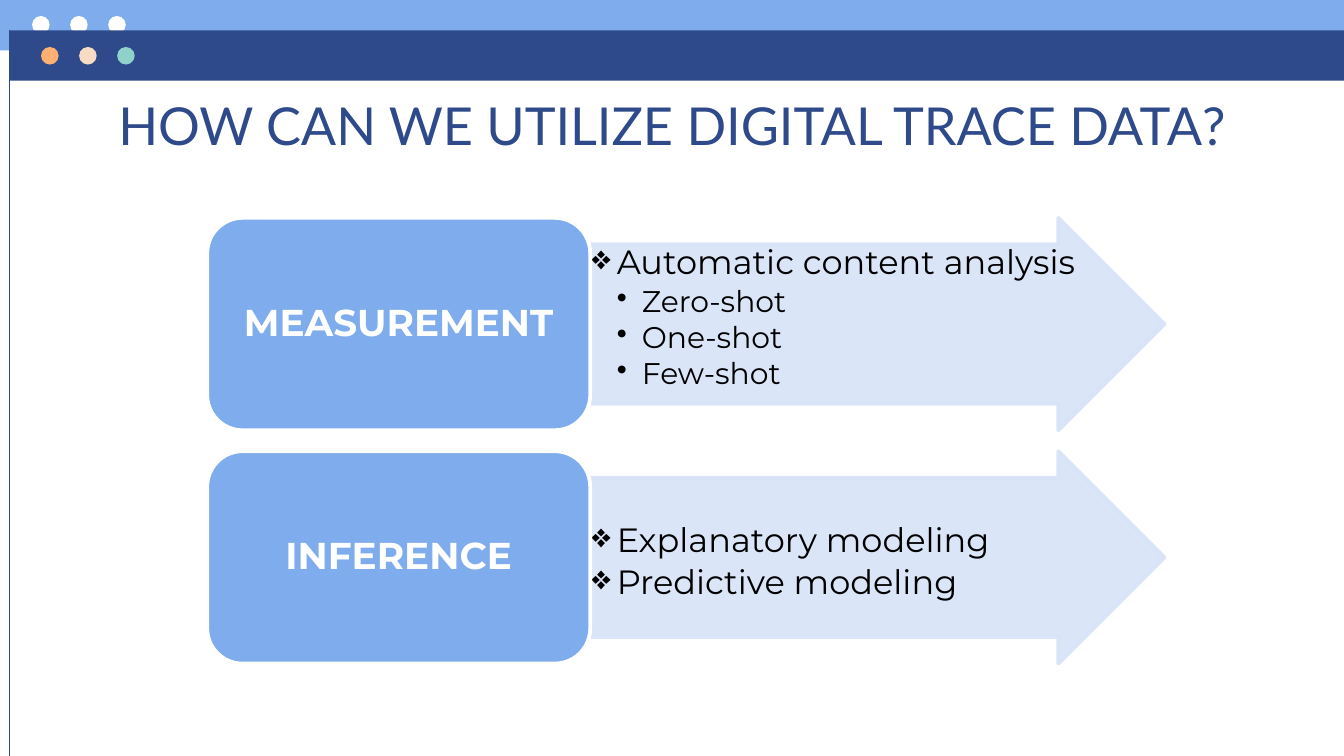
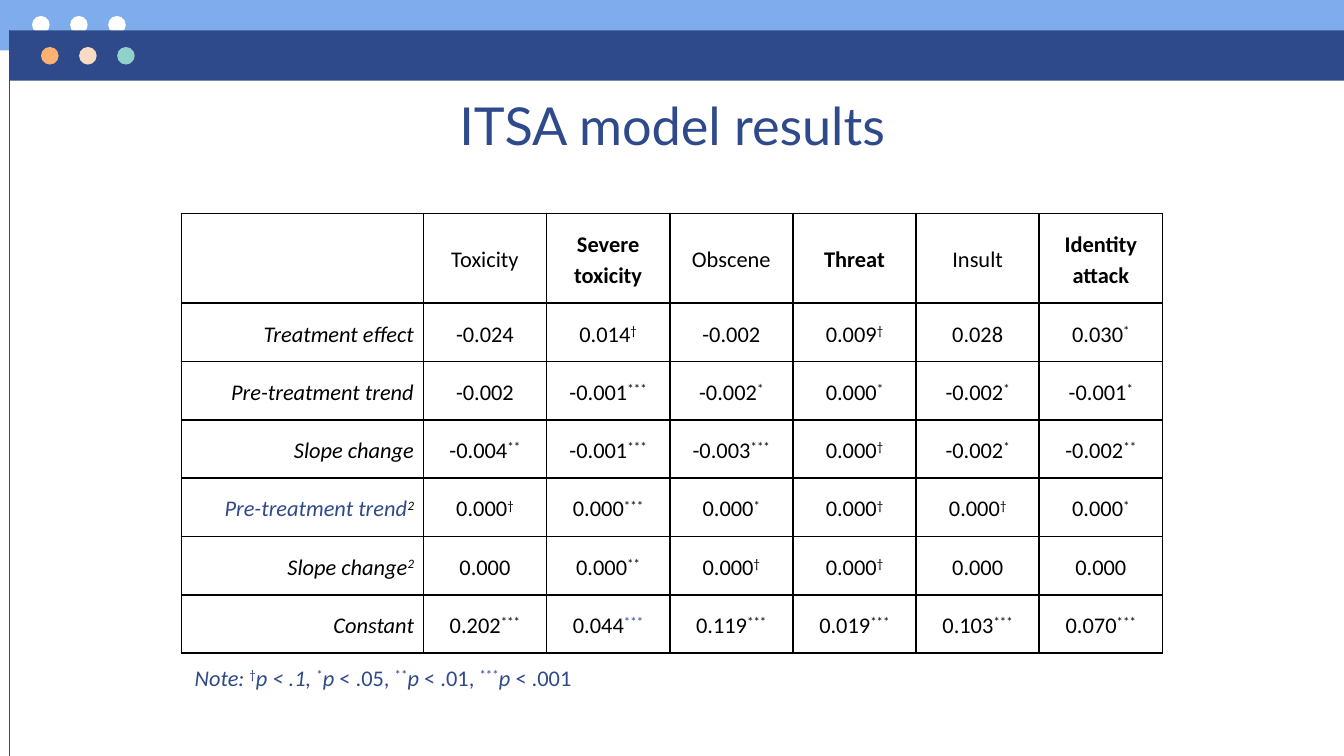
"""Build two slides on digital trace data: a process diagram and a results table."""

import lxml.etree
import pptx
import pptx.dml.color
import pptx.enum.shapes
import pptx.enum.text
import pptx.oxml.ns
import pptx.util

Pt = pptx.util.Pt
SHAPES = pptx.enum.shapes.MSO_SHAPE
ALIGN = pptx.enum.text.PP_ALIGN
ANCHOR = pptx.enum.text.MSO_ANCHOR

NAVY, SKY, PALE = "2F4A8A", "7EACEC", "D8E3F8"
WHITE, BLACK = "FFFFFF", "000000"
ACCENT_DOTS = ["FFB172", "F8DBC4", "90D1CB"]
TITLE_FONT, DIAGRAM_FONT, TABLE_FONT = "Lato", "Montserrat", "Calibri"

STAGES = [
    ("MEASUREMENT", 0.7, [
        (1, "Automatic content analysis"),
        (2, "Zero-shot"),
        (2, "One-shot"),
        (2, "Few-shot"),
    ]),
    ("INFERENCE", 24.7, [
        (1, "Explanatory modeling"),
        (1, "Predictive modeling"),
    ]),
]
BULLETS = {1: ("❖", 18, 2.7), 2: ("•", 16, 2)}

HEADERS = ["", "Toxicity", "Severe toxicity", "Obscene", "Threat", "Insult", "Identity attack"]
BOLD_HEADERS = {"Severe toxicity", "Threat", "Identity attack"}
RESULTS = [
    ["Treatment effect", "-0.024", "0.014^†", "-0.002", "0.009^†", "0.028", "0.030^*"],
    ["Pre-treatment trend", "-0.002", "-0.001^***", "-0.002^*", "0.000^*", "-0.002^*", "-0.001^*"],
    ["Slope change", "-0.004^**", "-0.001^***", "-0.003^***", "0.000^†", "-0.002^*", "-0.002^**"],
    ["Pre-treatment trend^2", "0.000^†", "0.000^***", "0.000^*", "0.000^†", "0.000^†", "0.000^*"],
    ["Slope change^2", "0.000", "0.000^**", "0.000^†", "0.000^†", "0.000", "0.000"],
    ["Constant", "0.202^***", "0.044^***", "0.119^***", "0.019^***", "0.103^***", "0.070^***"],
]
NAVY_TEXTS = {(4, 0)}
NAVY_MARKS = {(6, 2)}


def rgb(value):
    return pptx.dml.color.RGBColor.from_string(value)


def add_xml(parent, tag, **attributes):
    element = lxml.etree.SubElement(parent, pptx.oxml.ns.qn(tag))
    for name, value in attributes.items():
        element.set(name, str(value))
    return element


class SlideBuilder:
    def __init__(self):
        self.deck = pptx.Presentation()
        self.deck.slide_width, self.deck.slide_height = Pt(720), Pt(405)
        self.slide = None

    def start_slide(self, title, align=ALIGN.LEFT):
        self.slide = self.deck.slides.add_slide(self.deck.slide_layouts[5])
        self.slide.background.fill.solid()
        self.slide.background.fill.fore_color.rgb = rgb(WHITE)
        self.add_band(0, 0, SKY, 17.2, 8.6, [WHITE] * 3)
        self.add_band(5, 16.2, NAVY, 22, 25.2, ACCENT_DOTS)
        self.add_line(5, 16, 5, 405)
        box = self.slide.shapes.title
        box.left, box.top, box.width, box.height = Pt(56.2), Pt(42.5), Pt(607.7), Pt(36.7)
        self.set_frame(box.text_frame, [7.2] * 4)
        para = box.text_frame.paragraphs[0]
        para.alignment = align
        self.add_span(para, title, TITLE_FONT, 28, NAVY)

    def set_frame(self, frame, margins, anchor=ANCHOR.TOP):
        frame.word_wrap = True
        frame.auto_size = pptx.enum.text.MSO_AUTO_SIZE.NONE
        frame.vertical_anchor = anchor
        frame.margin_left, frame.margin_top, frame.margin_right, frame.margin_bottom = map(Pt, margins)

    def add_span(self, para, text, font, size, color, bold=False, italic=False, raised=False):
        span = para.add_run()
        span.text = text
        span.font.name, span.font.size = font, Pt(size)
        span.font.bold, span.font.italic = bold, italic
        span.font.color.rgb = rgb(color)
        if raised:
            span._r.get_or_add_rPr().set("baseline", "30000")

    def add_shape(self, kind, left, top, width, height, fill, line=None):
        shape = self.slide.shapes.add_shape(kind, Pt(left), Pt(top), Pt(width), Pt(height))
        shape.shadow.inherit = False
        shape.fill.solid()
        shape.fill.fore_color.rgb = rgb(fill)
        if line:
            shape.line.color.rgb = rgb(line)
            shape.line.width = Pt(2)
        else:
            shape.line.fill.background()
        return shape

    def add_band(self, left, top, fill, dot_left, dot_top, dots):
        self.add_shape(SHAPES.RECTANGLE, left, top, 720 - left, 27, fill)
        for index, color in enumerate(dots):
            self.add_shape(SHAPES.OVAL, dot_left + index * 20.4, dot_top, 9.4, 9.4, color)

    def add_line(self, left, top, right, bottom):
        line = self.slide.shapes.add_connector(
            pptx.enum.shapes.MSO_CONNECTOR.STRAIGHT, Pt(left), Pt(top), Pt(right), Pt(bottom))
        line.line.color.rgb = rgb(NAVY)
        line.line.width = Pt(0.75)
        add_xml(line._element.spPr, "a:effectLst")

    def add_bullet(self, para, level, text):
        mark, size, gap = BULLETS[level]
        para.level, para.alignment = level, ALIGN.LEFT
        para.line_spacing, para.space_after = 0.9, Pt(gap)
        properties = para._p.get_or_add_pPr()
        properties.set("marL", str(Pt(13.5 * level)))
        properties.set("indent", str(-Pt(13.5)))
        add_xml(add_xml(properties, "a:buClr"), "a:srgbClr", val=BLACK)
        add_xml(properties, "a:buChar", char=mark)
        self.add_span(para, text, DIAGRAM_FONT, size, BLACK)

    def add_stage(self, top, name, text_offset, items):
        arrow = self.add_shape(SHAPES.RIGHT_ARROW, 316.2, top, 307.7, 113.8, PALE, PALE)
        arrow.adjustments[0], arrow.adjustments[1] = 0.75, 0.5
        for color in arrow._element.spPr.iter(pptx.oxml.ns.qn("a:srgbClr")):
            add_xml(color, "a:alpha", val=90000)
        frame = arrow.text_frame
        self.set_frame(frame, [0.7, text_offset, 0.7, 0.7])
        for index, (level, text) in enumerate(items):
            para = frame.add_paragraph() if index else frame.paragraphs[0]
            self.add_bullet(para, level, text)
        box = self.add_shape(SHAPES.ROUNDED_RECTANGLE, 111, top, 205.2, 113.8, SKY, WHITE)
        self.set_frame(box.text_frame, [11.5, 8.6, 11.5, 8.6], ANCHOR.MIDDLE)
        para = box.text_frame.paragraphs[0]
        para.alignment, para.line_spacing = ALIGN.CENTER, 0.9
        self.add_span(para, name, DIAGRAM_FONT, 20, WHITE, bold=True)

    def fill_cell(self, cell, row, column, content):
        cell.margin_left = cell.margin_right = Pt(5)
        cell.margin_top = cell.margin_bottom = Pt(7.2)
        cell.vertical_anchor = ANCHOR.TOP if row else ANCHOR.MIDDLE
        properties = cell._tc.get_or_add_tcPr()
        for side in ("a:lnL", "a:lnR", "a:lnT", "a:lnB"):
            border = add_xml(properties, side, w=Pt(1))
            add_xml(add_xml(border, "a:solidFill"), "a:srgbClr", val=BLACK)
        cell.fill.background()
        para = cell.text_frame.paragraphs[0]
        para.alignment = ALIGN.CENTER if column else ALIGN.RIGHT
        para.line_spacing = 1.15
        text, _, marks = content.partition("^")
        italic = column == 0
        if text:
            color = NAVY if (row, column) in NAVY_TEXTS else BLACK
            self.add_span(para, text, TABLE_FONT, 12, color, text in BOLD_HEADERS, italic)
        if marks:
            color = NAVY if (row, column) in NAVY_MARKS else BLACK
            self.add_span(para, marks, TABLE_FONT, 12, color, italic=italic, raised=True)

    def add_table(self, rows, left, top, widths, heights):
        table = self.slide.shapes.add_table(
            len(rows), len(widths), Pt(left), Pt(top), Pt(sum(widths)), Pt(sum(heights))).table
        table.first_row = table.horz_banding = False
        for column, width in zip(table.columns, widths):
            column.width = Pt(width)
        for row, height in zip(table.rows, heights):
            row.height = Pt(height)
        for row, contents in enumerate(rows):
            for column, content in enumerate(contents):
                self.fill_cell(table.cell(row, column), row, column, content)

    def add_note(self, left, top, width, height, levels):
        box = self.slide.shapes.add_textbox(Pt(left), Pt(top), Pt(width), Pt(height))
        self.set_frame(box.text_frame, [7.2] * 4)
        para = box.text_frame.paragraphs[0]
        self.add_span(para, "Note:", TABLE_FONT, 12, NAVY, italic=True)
        self.add_span(para, " ", TABLE_FONT, 20, NAVY, raised=True)
        for mark, limit, italic in levels:
            self.add_span(para, mark, TABLE_FONT, 12, NAVY, raised=True)
            self.add_span(para, "p", TABLE_FONT, 12, NAVY, italic=True)
            self.add_span(para, limit, TABLE_FONT, 12, NAVY, italic=italic)


def main():
    builder = SlideBuilder()
    builder.start_slide("HOW CAN WE UTILIZE DIGITAL TRACE DATA?")
    for index, stage in enumerate(STAGES):
        builder.add_stage(116.7 + index * 125, *stage)

    builder.start_slide("ITSA model results", ALIGN.CENTER)
    builder.add_table([HEADERS] + RESULTS, 97.2, 114.3, [129.6] + [66] * 6, [48.2] + [31.2] * 6)
    builder.add_note(97.2, 340.6, 362, 31, [
        ("†", " < .1, ", True),
        ("*", " < .05, ", False),
        ("**", " < .01, ", False),
        ("***", " < .001", False),
    ])
    builder.deck.save("out.pptx")


if __name__ == "__main__":
    main()
